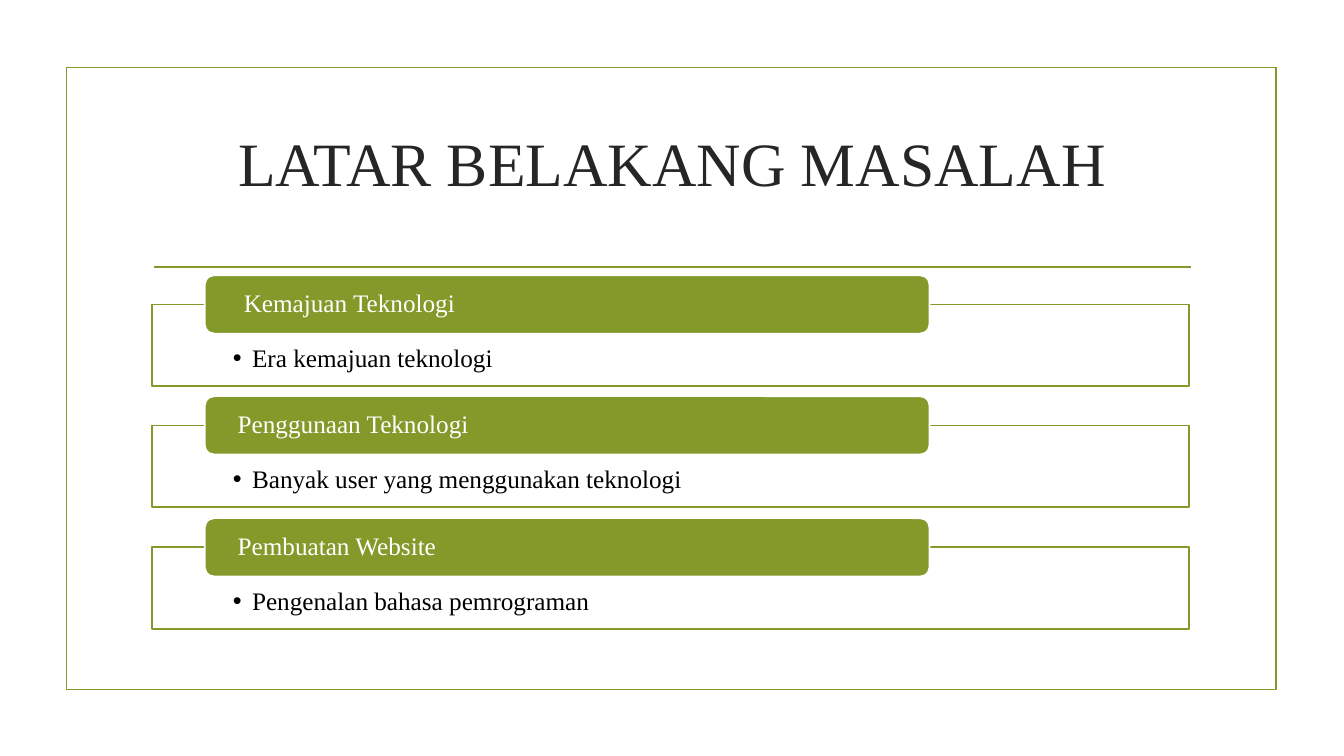
from lxml.etree import SubElement
from pptx import Presentation
from pptx.dml.color import RGBColor
from pptx.enum.shapes import MSO_CONNECTOR as Connector, MSO_SHAPE as Shape
from pptx.enum.text import MSO_ANCHOR as Anchor, PP_ALIGN as Align
from pptx.oxml.ns import qn
from pptx.util import Pt

PX = 9144  # 100 px to the inch
GREEN, WHITE, BLACK, CHARCOAL = "83992A", "FFFFFF", "000000", "262626"
FONT = "Times New Roman"
LINE_WIDTH = Pt(1.25)

# Heading, left inset of the heading, bullet
TOPICS = [
    ("Kemajuan Teknologi", 36, "Era kemajuan teknologi"),
    ("Penggunaan Teknologi", 30, "Banyak user yang menggunakan teknologi"),
    ("Pembuatan Website", 30, "Pengenalan bahasa pemrograman"),
]


def px(*lengths):
    return [length * PX for length in lengths]


def color(hex_string):
    return RGBColor.from_string(hex_string)


def add_box(slide, kind, box, fill, line):
    shape = slide.shapes.add_shape(kind, *px(*box))
    shape.shadow.inherit = False
    if fill:
        shape.fill.solid()
        shape.fill.fore_color.rgb = color(fill)
    else:
        shape.fill.background()
    shape.line.color.rgb = color(line)
    shape.line.width = LINE_WIDTH
    return shape


def add_rule(slide, left, right, y):
    rule = slide.shapes.add_connector(Connector.STRAIGHT, *px(left, y, right, y))
    rule.line.color.rgb = color(GREEN)
    rule.line.width = LINE_WIDTH
    SubElement(rule._element.spPr, qn("a:effectLst"))


def add_bullet(paragraph, indent):
    properties = paragraph._p.get_or_add_pPr()
    properties.set("marL", str(indent * PX))
    properties.set("indent", str(-indent * PX))
    SubElement(properties, qn("a:buFont")).set("typeface", "Arial")
    SubElement(properties, qn("a:buChar")).set("char", "•")


def set_text(shape, text, size, hex_string, insets, anchor=Anchor.MIDDLE,
             align=Align.LEFT, bullet_indent=0):
    frame = shape.text_frame
    frame.word_wrap = True
    frame.vertical_anchor = anchor
    (frame.margin_left, frame.margin_top,
     frame.margin_right, frame.margin_bottom) = px(*insets)
    frame.text = text
    paragraph = frame.paragraphs[0]
    paragraph.alignment = align
    paragraph.line_spacing = 0.9
    if bullet_indent:
        add_bullet(paragraph, bullet_indent)
    paragraph.font.name = FONT
    paragraph.font.size = Pt(size)
    paragraph.font.color.rgb = color(hex_string)


def add_title(slide, text):
    title = slide.shapes.title
    title.left, title.top, title.width, title.height = px(142, 119, 1050, 93)
    set_text(title, text, 44, CHARCOAL, (10, 5, 10, 5), align=Align.CENTER)


def add_topic(slide, top, heading, heading_inset, bullet):
    panel = add_box(slide, Shape.RECTANGLE, (151, top, 1028, 81), WHITE, GREEN)
    set_text(panel, bullet, 18, BLACK, (80, 41, 80, 14), Anchor.TOP,
             bullet_indent=19)
    bar = add_box(slide, Shape.ROUNDED_RECTANGLE, (203, top - 29, 719, 58),
                  GREEN, WHITE)
    set_text(bar, heading, 18, WHITE, (heading_inset, 0, 30, 0))


def main():
    presentation = Presentation()
    presentation.slide_width, presentation.slide_height = px(1333, 750)
    slide = presentation.slides.add_slide(presentation.slide_layouts[5])

    # Frame, title and rule
    add_box(slide, Shape.RECTANGLE, (66, 67, 1200, 617), None, GREEN)
    add_title(slide, "LATAR BELAKANG MASALAH")
    add_rule(slide, 153, 1181, 265)

    # Topics at an equal pitch of 120.5 px
    for index, topic in enumerate(TOPICS):
        add_topic(slide, 302 + index * 241 // 2, *topic)

    presentation.save("out.pptx")


if __name__ == "__main__":
    main()
